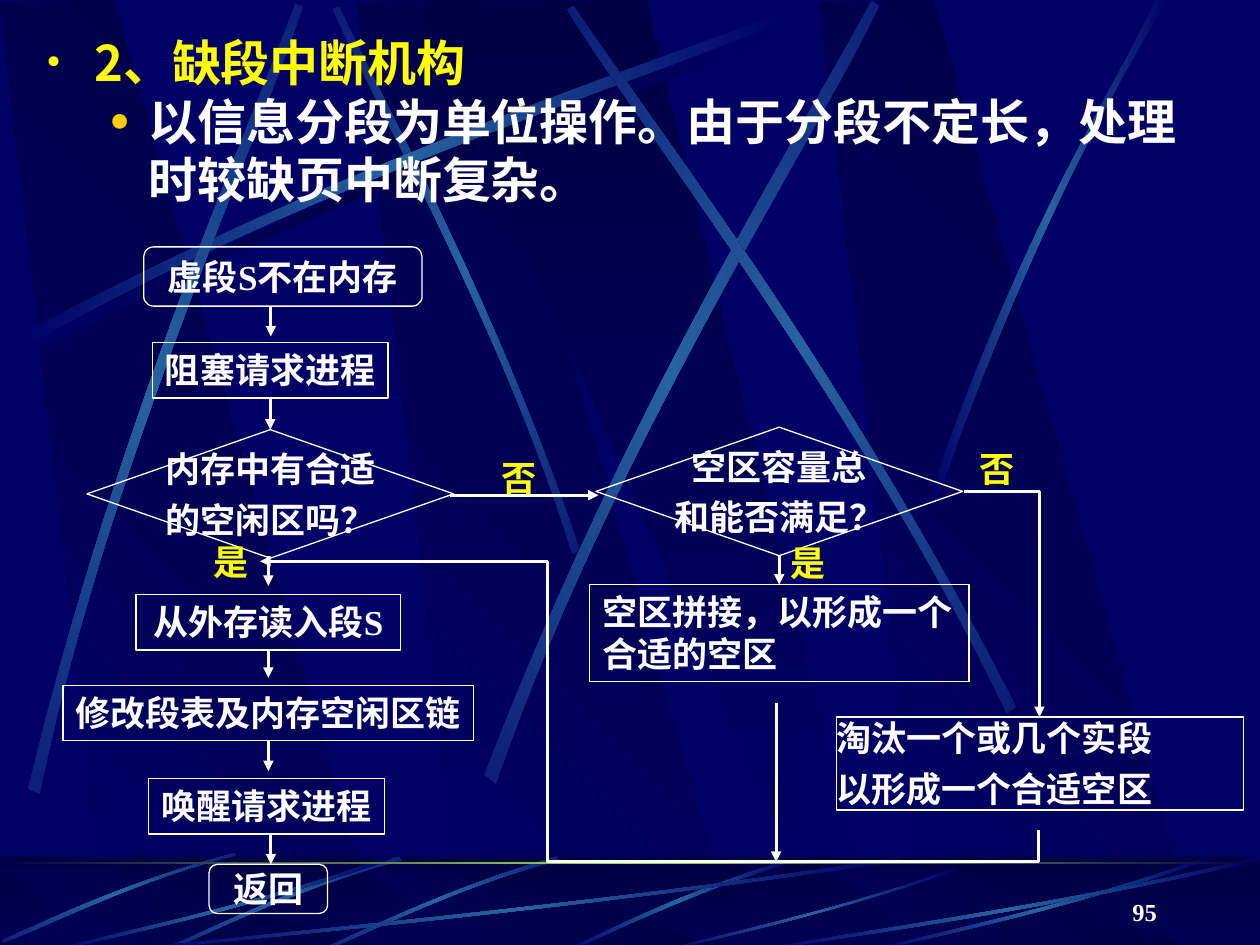
from math import cos, radians, sin

from lxml import etree
from pptx import Presentation
from pptx.dml.color import RGBColor
from pptx.enum.shapes import MSO_CONNECTOR, MSO_SHAPE
from pptx.enum.text import MSO_ANCHOR, PP_ALIGN
from pptx.oxml.ns import qn
from pptx.util import Inches, Pt

RECT, ROUND, DIAMOND = (MSO_SHAPE.RECTANGLE, MSO_SHAPE.FLOWCHART_ALTERNATE_PROCESS,
                        MSO_SHAPE.FLOWCHART_DECISION)
LINE, ELBOW = MSO_CONNECTOR.STRAIGHT, MSO_CONNECTOR.ELBOW
LEFT, CENTER, RIGHT = PP_ALIGN.LEFT, PP_ALIGN.CENTER, PP_ALIGN.RIGHT
TOP, MIDDLE, BOTTOM = MSO_ANCHOR.TOP, MSO_ANCHOR.MIDDLE, MSO_ANCHOR.BOTTOM
NAVY = RGBColor(0x00, 0x00, 0x66)
DARK = RGBColor(0x00, 0x00, 0x44)
BLUE = RGBColor(0x26, 0x63, 0xA0)
LIME = RGBColor(0x9C, 0xE1, 0x57)
GOLD = RGBColor(0xFF, 0xCC, 0x00)
YELLOW = RGBColor(0xFF, 0xFF, 0x00)
WHITE = RGBColor(0xFF, 0xFF, 0xFF)
CJK, LATIN = "Noto Sans CJK SC", "Times New Roman"


def write(shape, text, size=20, color=WHITE, font=LATIN, align=CENTER, anchor=TOP,
          pad=(0.1, 0.05), wrap=False, lead=24, colors=None, bullets=None):
    """Fill the shape with one paragraph per line; bullets are (char, color, percent, margin, hang)."""
    frame = shape.text_frame
    frame.word_wrap, frame.vertical_anchor = wrap, anchor
    frame.margin_left = frame.margin_right = Inches(pad[0])
    frame.margin_top = frame.margin_bottom = Inches(pad[1])
    for i, line in enumerate(text.split("\n")):
        para = frame.add_paragraph() if i else frame.paragraphs[0]
        if bullets:
            char, tint, part, margin, hang = bullets[i]
            props = para._p.get_or_add_pPr()
            props.set("marL", str(Inches(margin)))
            props.set("indent", str(-Inches(hang)))
            mark = etree.SubElement(props, qn("a:buClr"))
            etree.SubElement(mark, qn("a:srgbClr"), val=str(tint))
            etree.SubElement(props, qn("a:buSzPct"), val=str(part * 1000))
            etree.SubElement(props, qn("a:buFont"), typeface=LATIN)
            etree.SubElement(props, qn("a:buChar"), char=char)
            para.level = i
        elif i:
            para.space_before = Pt(5)
        para.alignment, para.line_spacing = align, Pt(lead)
        run = para.add_run()
        run.text = line
        run.font.size, run.font.bold, run.font.name = Pt(size), True, font
        run.font.color.rgb = colors[i] if colors else color
        etree.SubElement(run._r.get_or_add_rPr(), qn("a:ea"), typeface=CJK)


prs = Presentation()
prs.slide_width, prs.slide_height = Inches(10), Inches(7.5)
slide = prs.slides.add_slide(prs.slide_layouts[6])
slide.background.fill.solid()
slide.background.fill.fore_color.rgb = NAVY

# Backdrop outlines: 2 points span a bar, 4 make a panel, 8 a ribbon of two cubic curves
panel = [(0.86, 7.5), (3.02, 7.52), (0.91, 0), (0, 0.02)]
tile = [(0.86, 7.54), (3.02, 7.54), (0.91, 6.88), (0, 6.88)]
wedge = [(3.33, 0.01), (6.58, 7.51), (6.94, 7.51), (5.13, 0)]
slab = [(3.33, 6.88), (6.58, 7.54), (6.94, 7.54), (5.13, 6.88)]
beams = [
    (45, [(4.6, 4.36), (3.91, 2.34), (3.02, 0.77), (2.69, 0.05),
          (2.64, 0.07), (2.95, 0.79), (3.98, 2.58), (4.54, 4.39)]),
    (0, [(0.14, 2.67), (2.78, 1.25), (5.18, 0.51), (6.2, 0.1),
         (6.23, 0.16), (5.22, 0.61), (2.48, 1.43), (0.17, 2.77)]),
    (311.7, [(0.23, 6.25), (0.93, 3.34), (1.97, 1.05), (2.35, 0.02),
             (2.41, 0.04), (2.07, 1.08), (0.86, 3.68), (0.32, 6.29)]),
    (321.6, [(3.85, 6.14), (4.98, 3.2), (6.38, 1.02), (6.92, 0),
             (6.98, 0.04), (6.49, 1.08), (4.86, 3.55), (3.94, 6.21)]),
    (34.8, [(8.06, 5.6), (6.7, 2.93), (5.16, 0.95), (4.55, 0.04),
            (4.5, 0.07), (5.07, 1.01), (6.85, 3.25), (7.99, 5.66)]),
    (0, [(7.38, 3.93), (8.14, 1.73), (8.88, 0.66), (9.17, 0),
         (9.27, 0), (8.36, 1.45), (7.69, 3.22), (7.44, 3.97)]),
]
shade = [(0.2, 2.75), (2.84, 1.34), (5.24, 0.59), (6.26, 0.18),
         (6.29, 0.24), (5.28, 0.69), (2.54, 1.51), (0.23, 2.85)]
curve = [(4.42, 6.8), (3.55, 7.05), (2.87, 7.4), (2.56, 7.53),
         (2.57, 7.55), (2.88, 7.43), (3.65, 7.03), (4.44, 6.83)]
sweep = [(3.08, 6.83), (1.93, 7.23), (0.88, 7.44), (0.43, 7.55),
         (0.42, 7.54), (0.86, 7.41), (2.06, 7.18), (3.07, 6.8)]
rays = [
    (0, [(6.27, 6.82), (5.37, 7.09), (4.77, 7.42), (4.48, 7.54),
         (4.53, 7.55), (4.9, 7.37), (5.71, 7), (6.28, 6.85)]),
    (314.9, curve),
    (314.9, [(x - 1.25, y) for x, y in curve]),
    (314.9, [(1.86, 6.77), (0.99, 7), (0.32, 7.33), (0.02, 7.46),
             (0.03, 7.48), (0.34, 7.37), (1.09, 6.98), (1.87, 6.79)]),
    (0, [(7.17, 6.83), (4.49, 7.23), (2.06, 7.44), (1.03, 7.55),
         (1, 7.54), (2.02, 7.41), (4.8, 7.18), (7.14, 6.8)]),
    (0, sweep),
    (0, [(7.58, 6.91), (6.58, 7.26), (5.67, 7.45), (5.28, 7.55),
         (5.27, 7.54), (5.65, 7.43), (6.69, 7.22), (7.57, 6.89)]),
    (0, [(x + 6.5, y) for x, y in sweep]),
    (0, [(10, 6.83), (8.27, 7.23), (6.69, 7.44), (6.02, 7.55),
         (6, 7.54), (6.66, 7.41), (8.46, 7.18), (9.98, 6.8)]),
]
shifts = (2.83, 0, 6.5)
glow = (NAVY, BLUE, NAVY)
layers = [([(x + dx, y) for x, y in panel], 315, (NAVY, DARK), 0) for dx in shifts]
layers += [(wedge, 90, (DARK, NAVY), 0), (shade, 0, (NAVY, DARK, NAVY), 0)]
layers += [(points, 0, glow, turn) for turn, points in beams]
layers += [([(0, 6.8), (10, 7.55)], 90, (DARK, NAVY), 0)]
layers += [([(x + dx, y) for x, y in tile], 315, (NAVY, DARK), 0) for dx in shifts]
layers += [(slab, 90, (DARK, NAVY), 0), ([(0, 6.79), (10, 7.54)], 0, (DARK,), 0)]
layers += [(points, 0, glow, turn) for turn, points in rays]
layers += [([(0, 6.84), (10, 6.86)], 0, (DARK, LIME, DARK), 0)]

scene = slide.shapes.add_group_shape().shapes
for points, angle, tints, turn in layers:
    if len(points) == 2:
        (x, y), (right, low) = points
        item = scene.add_shape(RECT, Inches(x), Inches(y), Inches(right - x), Inches(low - y))
    else:
        # Lay the outline flat about its centre, then let the shape's rotation turn it back
        mid_x, mid_y = ((min(axis) + max(axis)) / 2 for axis in zip(*points))
        co, si = cos(radians(turn)), sin(radians(turn))
        flat = [(Inches(mid_x + (x - mid_x) * co + (y - mid_y) * si),
                 Inches(mid_y - (x - mid_x) * si + (y - mid_y) * co)) for x, y in points]
        pen = scene.build_freeform(*flat[0])
        pen.add_line_segments(flat[1:], close=True)
        item = pen.convert_to_shape()
        item.rotation = turn
        if len(points) == 8:
            # Merge each side's three segments into one cubic curve
            sides = item._element.spPr.findall(".//" + qn("a:lnTo"))
            for side in (sides[:3], sides[4:7]):
                bend = etree.Element(qn("a:cubicBezTo"))
                side[0].addprevious(bend)
                for part in side:
                    bend.append(part[0])
                    part.getparent().remove(part)
    item.shadow.inherit = False
    item.line.fill.background()
    props = item._element.spPr
    if len(tints) == 1:
        item.fill.solid()
        item.fill.fore_color.rgb = tints[0]
        etree.SubElement(props.find(".//" + qn("a:srgbClr")), qn("a:alpha"), val="50000")
        continue
    item.fill.gradient()
    props.find(".//" + qn("a:lin")).set("ang", str(angle * 60000))
    stops = props.find(".//" + qn("a:gsLst"))
    stops.clear()
    for i, tint in enumerate(tints):
        stop = etree.SubElement(stops, qn("a:gs"), pos=str(100000 * i // (len(tints) - 1)))
        etree.SubElement(stop, qn("a:srgbClr"), val=str(tint))

body = slide.shapes.add_textbox(Inches(0.27), Inches(0.21), Inches(9.45), Inches(1.54))
write(body, "2、缺段中断机构\n以信息分段为单位操作。由于分段不定长，处理时较缺页中断复杂。",
      size=28, font=CJK, align=LEFT, wrap=True, lead=33.5, colors=(YELLOW, WHITE),
      bullets=(("•", YELLOW, 85, 0.38, 0.38), ("●", GOLD, 70, 0.81, 0.31)))

tight = {"anchor": MIDDLE, "pad": (0, 0)}
prose = {"align": LEFT, "wrap": True}
steps = [
    ("start", ROUND, 1.14, 1.96, 2.21, 0.47, "虚段S不在内存", tight),
    ("end", ROUND, 1.66, 6.86, 0.94, 0.39, "返回", tight),
    ("block", RECT, 1.21, 2.72, 1.87, 0.44, "阻塞请求进程", {}),
    ("fit", DIAMOND, 0.69, 3.41, 2.91, 1.02, "内存中有合适\n的空闲区吗？", tight),
    ("load", RECT, 1.08, 4.72, 2.1, 0.44, "从外存读入段S", {}),
    ("table", RECT, 0.5, 5.44, 3.26, 0.44, "修改段表及内存空闲区链", {}),
    ("wake", RECT, 1.18, 6.18, 1.87, 0.44, "唤醒请求进程", {}),
    ("total", DIAMOND, 4.73, 3.39, 2.91, 1.02, "空区容量总\n和能否满足？", tight),
    ("merge", RECT, 4.68, 4.64, 3.01, 0.77, "空区拼接，以形成一个合适的空区", prose),
    ("evict", RECT, 6.64, 5.69, 3.23, 0.74, "淘汰一个或几个实段\n以形成一个合适空区",
     {**prose, "pad": (0, 0)}),
]
boxes = {}
for name, kind, x, y, wide, high, text, style in steps:
    box = boxes[name] = slide.shapes.add_shape(kind, Inches(x), Inches(y), Inches(wide), Inches(high))
    box.shadow.inherit = False
    box.fill.background()
    box.line.color.rgb, box.line.width = WHITE, Pt(0.75)
    write(box, text, **style)

# Each arrow: preset, ends, then the boxes it leaves (bottom) and enters (top)
arrows = [
    ("line", 2.15, 2.43, 2.15, 2.67, None, None),
    ("line", 2.15, 3.17, 2.15, 3.41, "block", "fit"),
    ("line", 2.13, 4.41, 2.13, 4.65, None, None),
    ("line", 2.13, 5.14, 2.13, 5.38, "load", None),
    ("line", 2.13, 5.88, 2.13, 6.12, "table", None),
    ("line", 2.15, 6.62, 2.15, 6.86, None, None),
    ("line", 3.57, 3.93, 4.75, 3.93, None, None),
    ("line", 6.19, 4.4, 6.19, 4.64, "total", "merge"),
    ("line", 6.16, 5.58, 6.16, 6.84, None, None),
    ("bentConnector2", 7.65, 3.9, 8.25, 5.69, None, None),
    ("bentConnector4", 4.09, 8.61, 6.22, 2.43, None, None),
]
for preset, x, y, to_x, to_y, source, target in arrows:
    arrow = slide.shapes.add_connector(LINE if preset == "line" else ELBOW,
                                       Inches(x), Inches(y), Inches(to_x), Inches(to_y))
    if source:
        arrow.begin_connect(boxes[source], 2)
    if target:
        arrow.end_connect(boxes[target], 0)
    arrow.line.color.rgb, arrow.line.width = WHITE, Pt(1.75)
    props = arrow._element.spPr
    etree.SubElement(props.find(qn("a:ln")), qn("a:tailEnd"), type="triangle")
    etree.SubElement(props, qn("a:effectLst"))
    shape = props.find(qn("a:prstGeom"))
    shape.set("prst", preset)
    if preset == "bentConnector4":
        props.find(qn("a:xfrm")).set("rot", str(270 * 60000))
        for guide, value in (("adj1", -11800), ("adj2", 63100)):
            etree.SubElement(shape.find(qn("a:avLst")), qn("a:gd"), name=guide, fmla=f"val {value}")

for text, x, y in (("否", 3.88, 3.57), ("是", 1.59, 4.24), ("否", 7.67, 3.5), ("是", 6.17, 4.25)):
    write(slide.shapes.add_textbox(Inches(x), Inches(y), Inches(0.48), Inches(0.44)), text, color=YELLOW)

number = slide.shapes.add_textbox(Inches(7.2), Inches(6.9), Inches(2.08), Inches(0.5))
write(number, "95", size=14, align=RIGHT, anchor=BOTTOM, wrap=True, lead=16)

prs.save("out.pptx")
